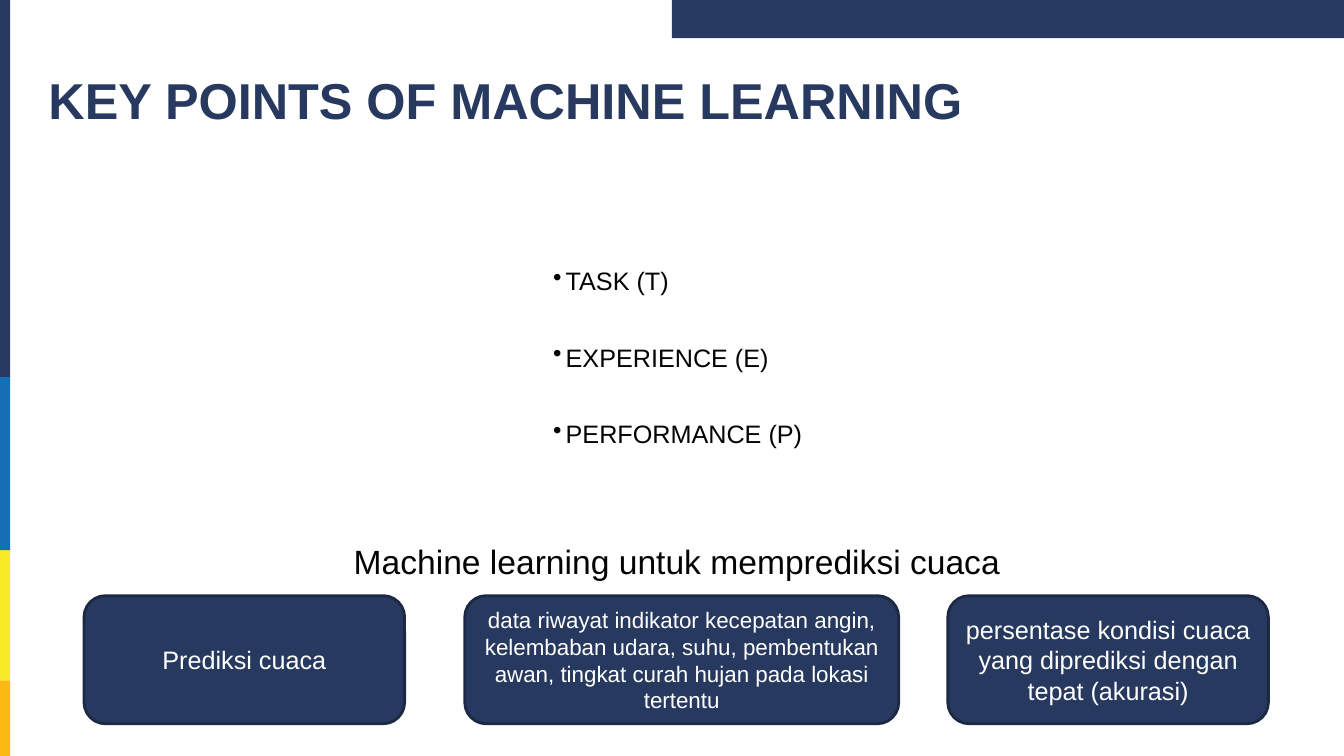
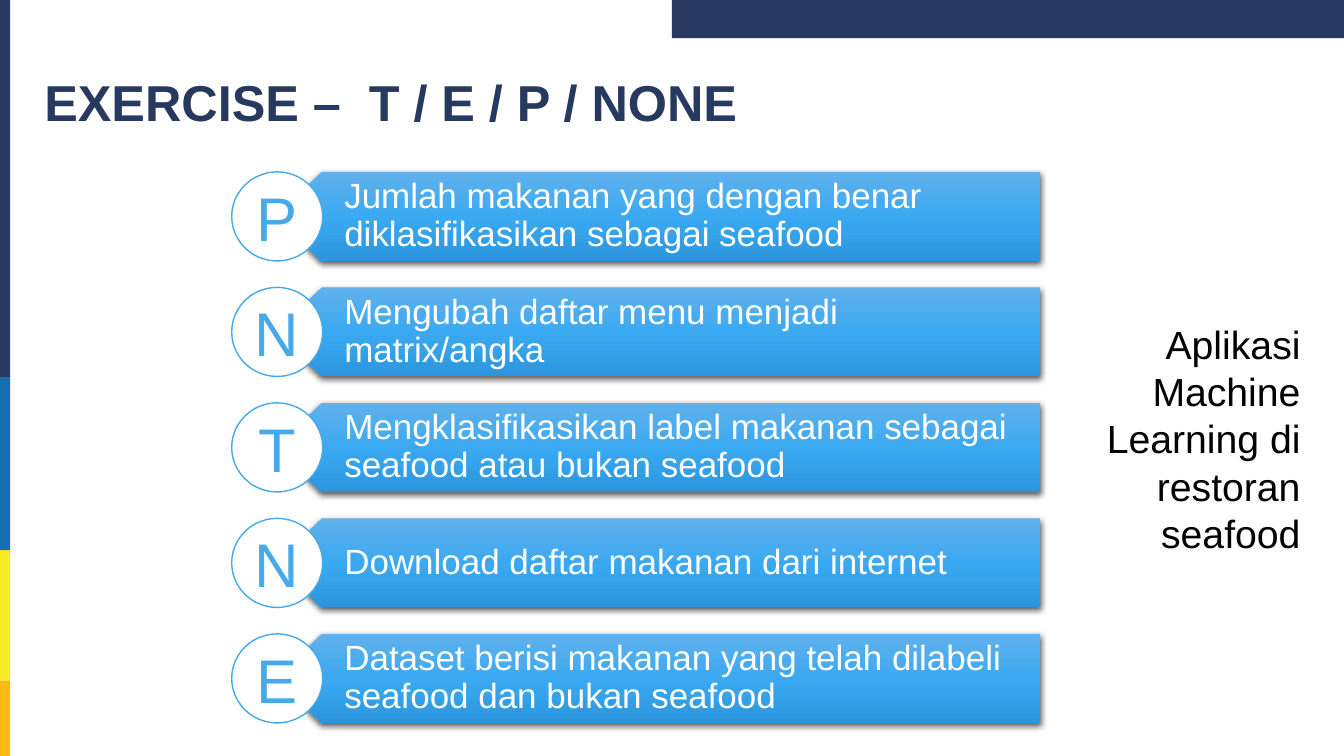
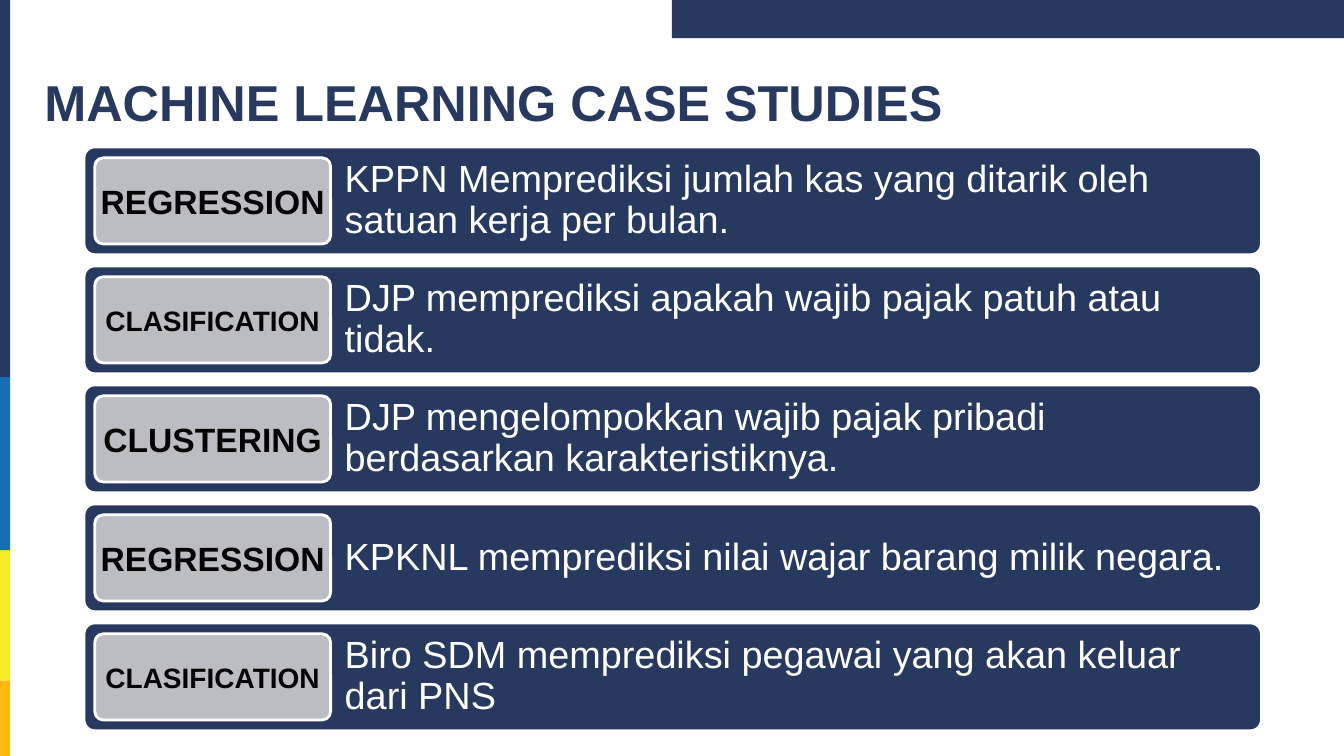
import pptx
import pptx.dml.color
import pptx.enum.shapes
import pptx.enum.text
import pptx.oxml
import pptx.oxml.ns
import pptx.util

Pt = pptx.util.Pt
RGBColor = pptx.dml.color.RGBColor
PRESET = pptx.enum.shapes.MSO_SHAPE
ALIGN = pptx.enum.text.PP_ALIGN
ANCHOR = pptx.enum.text.MSO_ANCHOR

NAVY = RGBColor(0x27, 0x39, 0x5F)
NAVY_EDGE = RGBColor(0x1C, 0x29, 0x45)
BLUE = RGBColor(0x17, 0x6E, 0xB4)
YELLOW = RGBColor(0xF7, 0xEB, 0x25)
ORANGE = RGBColor(0xFC, 0xB8, 0x13)
SKY = RGBColor(0x45, 0xA9, 0xEA)
SKY_STOPS = [(0, RGBColor(0x60, 0xB1, 0xEC)), (50, RGBColor(0x3B, 0xA9, 0xF1)),
             (100, RGBColor(0x2B, 0x96, 0xDD))]
GREY = RGBColor(0xBB, 0xBD, 0xC3)
INK = RGBColor(0x04, 0x04, 0x04)
BLACK = RGBColor(0, 0, 0)
WHITE = RGBColor(0xFF, 0xFF, 0xFF)

FONT = "Arial"
SLIDE_W, SLIDE_H = 960, 540
TITLE_BOX = (24.5, 27.5, 911, 95)
INSETS = (7.2, 3.6, 7.2, 3.6)


# ---- Shared helpers ----
def add_text(paragraph, text, size, color, bold=False, align=ALIGN.LEFT, spacing=1.0):
    paragraph.alignment = align
    paragraph.line_spacing = spacing
    run = paragraph.add_run()
    run.text = text
    run.font.name = FONT
    run.font.size = Pt(size)
    run.font.bold = bold
    run.font.color.rgb = color


def set_frame(shape, anchor=ANCHOR.MIDDLE, insets=INSETS):
    frame = shape.text_frame
    frame.word_wrap = True
    frame.vertical_anchor = anchor
    (frame.margin_left, frame.margin_top,
     frame.margin_right, frame.margin_bottom) = map(Pt, insets)
    return frame.paragraphs[0]


def add_panel(slide, preset, box, fill, edge=None, edge_width=2, corner=None):
    panel = slide.shapes.add_shape(preset, *map(Pt, box))
    panel.shadow.inherit = False
    panel.fill.solid()
    panel.fill.fore_color.rgb = fill
    if edge is None:
        panel.line.fill.background()
    else:
        panel.line.color.rgb = edge
        panel.line.width = Pt(edge_width)
    if corner is not None:
        panel.adjustments[0] = corner
    return panel


def add_label(slide, box, anchor=ANCHOR.TOP):
    label = slide.shapes.add_textbox(*map(Pt, box))
    return label, set_frame(label, anchor)


def add_titled_slide(deck, title, box=TITLE_BOX):
    slide = deck.slides.add_slide(deck.slide_layouts[5])
    heading = slide.shapes.title
    heading.left, heading.top, heading.width, heading.height = map(Pt, box)
    add_text(set_frame(heading), title, 36, NAVY, bold=True, spacing=0.9)
    return slide


def add_bands_to_layout(slide):
    """Draw the side strip and the top band, then move them to the layout."""
    bands = [((SLIDE_W / 2, 0, SLIDE_W / 2, 27.3), NAVY)]
    edges = [0, 269.3, 393, 486, SLIDE_H]
    for top, bottom, color in zip(edges, edges[1:], (NAVY, BLUE, YELLOW, ORANGE)):
        bands.append(((0, top, 7.2, bottom - top), color))
    layout_tree = slide.slide_layout.shapes.element
    for box, color in bands:
        band = add_panel(slide, PRESET.RECTANGLE, box, color)
        layout_tree.insert(2, band.element)


# ---- Key points ----
def add_bullets(slide, box, items, gap):
    bullets, paragraph = add_label(slide, box, ANCHOR.MIDDLE)
    for index, item in enumerate(items):
        if index:
            paragraph = bullets.text_frame.add_paragraph()
            paragraph.space_before = Pt(gap)
        add_text(paragraph, item, 18, INK)
        properties = paragraph._p.get_or_add_pPr()
        properties.set("marL", str(Pt(18)))
        properties.set("indent", str(-Pt(9)))
        properties.append(pptx.oxml.parse_xml(
            f'<a:buChar {pptx.oxml.ns.nsdecls("a")} char="•"/>'))


def add_example(slide, box, heading, cards):
    left, top, width, height = box
    add_text(add_label(slide, (left + 185.5, top, 481, 36))[1], heading, 24, INK)
    card_top = 43
    for offset, card_width, size, text in cards:
        card = add_panel(slide, PRESET.ROUNDED_RECTANGLE,
                         (left + offset, top + card_top, card_width, height - card_top),
                         NAVY, NAVY_EDGE, corner=0.167)
        add_text(set_frame(card), text, size, WHITE, align=ALIGN.CENTER)


# ---- Exercise ----
def add_arrow_bar(slide, box, text):
    left, top, width, height = box
    right, bottom, shoulder = left + width, top + height, left + height / 2
    outline = [(right, bottom), (shoulder, bottom), (left, top + height / 2),
               (shoulder, top), (right, top)]
    points = [(Pt(x), Pt(y)) for x, y in outline]
    builder = slide.shapes.build_freeform(*points[0])
    builder.add_line_segments(points[1:], close=True)
    bar = builder.convert_to_shape()
    bar.line.fill.background()

    # Three-stop gradient and soft shadow
    ns = pptx.oxml.ns.nsdecls("a")
    bar.fill.gradient()
    bar.fill.gradient_angle = 270
    stops = "".join(f'<a:gs pos="{pos * 1000}"><a:srgbClr val="{color}"/></a:gs>'
                    for pos, color in SKY_STOPS)
    properties = bar.element.spPr
    old_stops = properties.find(".//" + pptx.oxml.ns.qn("a:gsLst"))
    old_stops.getparent().replace(
        old_stops, pptx.oxml.parse_xml(f"<a:gsLst {ns}>{stops}</a:gsLst>"))
    bar.shadow.inherit = False
    properties.find(pptx.oxml.ns.qn("a:effectLst")).append(pptx.oxml.parse_xml(
        f'<a:outerShdw {ns} blurRad="{Pt(4.5)}" dist="{Pt(1.5)}" dir="5400000" '
        'algn="ctr" rotWithShape="0"><a:srgbClr val="000000">'
        '<a:alpha val="63000"/></a:srgbClr></a:outerShdw>'))
    add_text(set_frame(bar, insets=(48, 7, 14, 7)), text, 25, WHITE, spacing=0.9)


def add_answers(slide, box, answers, row_height):
    left, top, width, height = box
    pitch = (height - row_height) / (len(answers) - 1)
    circle_width = 65
    for row, (letter, statement) in enumerate(answers):
        y = top + row * pitch
        add_arrow_bar(slide, (left + circle_width / 2, y,
                              width - circle_width / 2, row_height), statement)
        circle = add_panel(slide, PRESET.OVAL, (left, y, circle_width, row_height),
                           WHITE, SKY, 1)
        add_text(set_frame(circle, insets=(0, 0, 0, 0)), letter, 44, SKY,
                 align=ALIGN.CENTER)


# ---- Case studies ----
def add_cases(slide, box, cases, row_height):
    left, top, width, height = box
    pitch = (height - row_height) / (len(cases) - 1)
    pad, badge_width = 7.7, 168.5
    for row, (kind, size, case) in enumerate(cases):
        y = top + row * pitch
        bar = add_panel(slide, PRESET.ROUNDED_RECTANGLE, (left, y, width, row_height),
                        NAVY, WHITE, corner=0.1)
        add_text(set_frame(bar, insets=(184, pad, pad, pad)), case, 27, WHITE,
                 spacing=0.9)
        badge = add_panel(slide, PRESET.ROUNDED_RECTANGLE,
                          (left + pad, y + pad, badge_width, row_height - 2 * pad),
                          GREY, WHITE, corner=0.1)
        add_text(set_frame(badge, insets=(0, 0, 0, 0)), kind, size, INK, bold=True,
                 align=ALIGN.CENTER)


def main():
    deck = pptx.Presentation()
    deck.slide_width, deck.slide_height = Pt(SLIDE_W), Pt(SLIDE_H)

    key_points = add_titled_slide(deck, "KEY POINTS OF MACHINE LEARNING",
                                  (27.4, 26, 911, 95))
    add_bands_to_layout(key_points)
    add_bullets(key_points, (379, 180, 240, 150),
                ["TASK (T)", "EXPERIENCE (E)", "PERFORMANCE (P)"], 33.3)
    add_example(key_points, (60, 382.5, 846, 134.5),
                "Machine learning untuk memprediksi cuaca", [
        (0, 229, 18, "Prediksi cuaca"),
        (272, 310, 16, "data riwayat indikator kecepatan angin, kelembaban udara, suhu, "
                       "pembentukan awan, tingkat curah hujan pada lokasi tertentu"),
        (617, 229, 18, "persentase kondisi cuaca yang diprediksi dengan tepat (akurasi)"),
    ])

    exercise = add_titled_slide(deck, "EXERCISE –  T / E / P / NONE")
    add_text(add_label(exercise, (751, 225.5, 185, 177))[1],
             "Aplikasi Machine Learning di restoran seafood", 28, BLACK,
             align=ALIGN.RIGHT)
    add_answers(exercise, (165.5, 122.8, 577.5, 393.6), [
        ("P", "Jumlah makanan yang dengan benar diklasiﬁkasikan sebagai seafood"),
        ("N", "Mengubah daftar menu menjadi matrix/angka"),
        ("T", "Mengklasiﬁkasikan label makanan sebagai seafood atau bukan seafood"),
        ("N", "Download daftar makanan dari internet"),
        ("E", "Dataset berisi makanan yang telah dilabeli seafood dan bukan seafood"),
    ], 63.6)

    case_studies = add_titled_slide(deck, "MACHINE LEARNING CASE STUDIES")
    add_cases(case_studies, (60, 105, 841, 417), [
        ("REGRESSION", 24,
         "KPPN Memprediksi jumlah kas yang ditarik oleh satuan kerja per bulan."),
        ("CLASIFICATION", 20, "DJP memprediksi apakah wajib pajak patuh atau tidak."),
        ("CLUSTERING", 24,
         "DJP mengelompokkan wajib pajak pribadi berdasarkan karakteristiknya."),
        ("REGRESSION", 24, "KPKNL memprediksi nilai wajar barang milik negara."),
        ("CLASIFICATION", 20, "Biro SDM memprediksi pegawai yang akan keluar dari PNS"),
    ], 77)

    deck.save("out.pptx")


if __name__ == "__main__":
    main()
